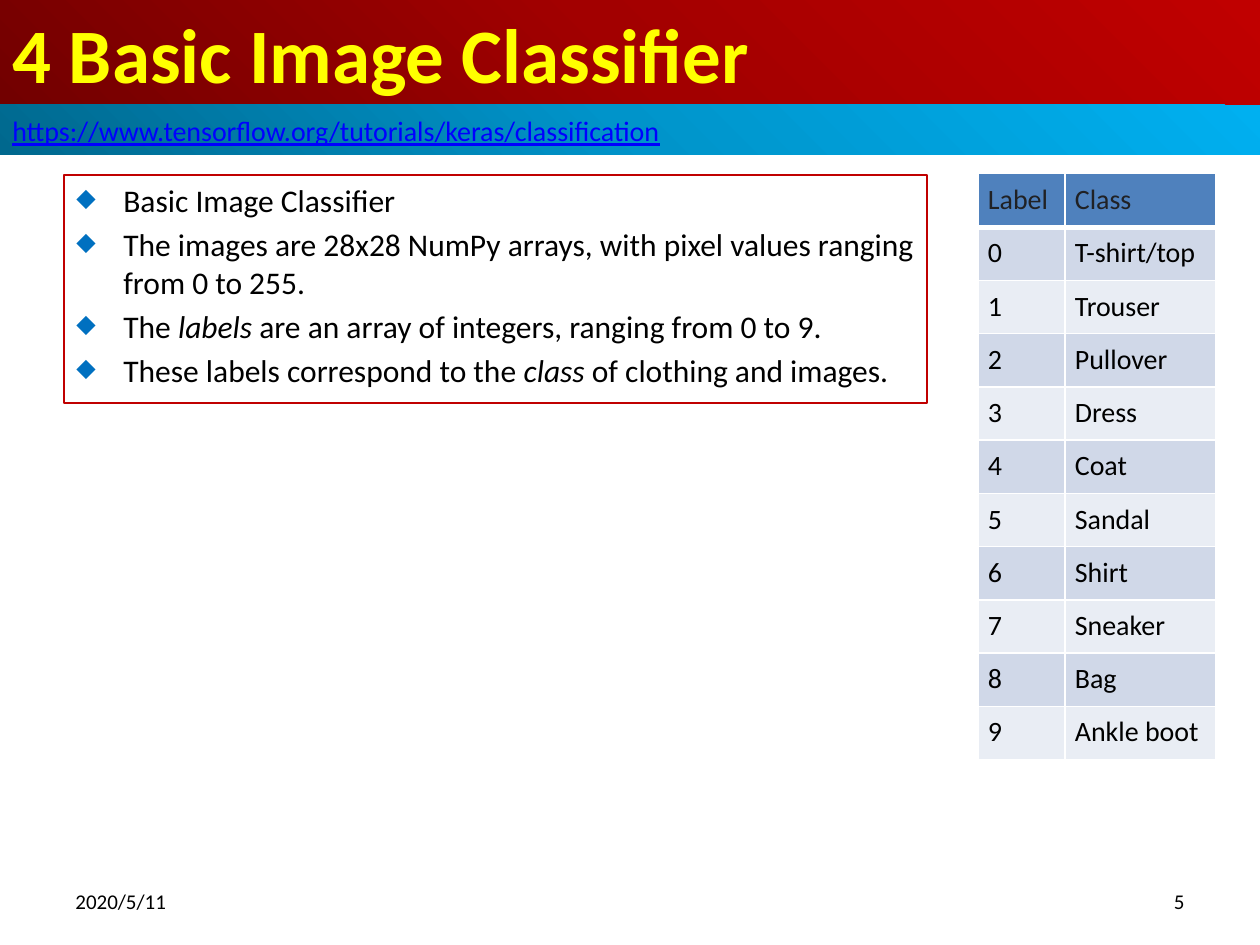
from pptx import Presentation
from pptx.dml.color import RGBColor
from pptx.enum.shapes import MSO_SHAPE
from pptx.enum.text import MSO_ANCHOR, MSO_AUTO_SIZE, PP_ALIGN
from pptx.oxml import parse_xml
from pptx.oxml.ns import nsdecls, qn
from pptx.util import Pt

SCALE = 914400 / 126  # EMU per px
RECT = MSO_SHAPE.RECTANGLE
TOP, MIDDLE = MSO_ANCHOR.TOP, MSO_ANCHOR.MIDDLE
LEFT, RIGHT = PP_ALIGN.LEFT, PP_ALIGN.RIGHT
NO_FIT = MSO_AUTO_SIZE.NONE

BLACK = RGBColor(0x00, 0x00, 0x00)
WHITE = RGBColor(0xFF, 0xFF, 0xFF)
YELLOW = RGBColor(0xFF, 0xFF, 0x00)
LINK = RGBColor(0x00, 0x00, 0xFF)
RED = RGBColor(0xC0, 0x00, 0x00)
BULLET = RGBColor(0x00, 0x70, 0xC0)
INK = RGBColor(0x20, 0x21, 0x24)
HEAD = RGBColor(0x4F, 0x81, 0xBD)
BANDS = RGBColor(0xD0, 0xD8, 0xE8), RGBColor(0xE9, 0xED, 0xF4)
REDS = RGBColor(0x72, 0x00, 0x00), RGBColor(0xA2, 0x00, 0x00), RED
BLUES = (RGBColor(0x00, 0x68, 0x8E), RGBColor(0x00, 0x94, 0xCA),
         RGBColor(0x00, 0xB0, 0xF0))

POINTS = [
    [("Basic Image Classifier", False)],
    [("The images are 28x28 NumPy arrays, with pixel values ranging "
      "from 0 to 255.", False)],
    [("The ", False), ("labels", True),
     (" are an array of integers, ranging from 0 to 9.", False)],
    [("These labels correspond to the ", False), ("class", True),
     (" of clothing and images.", False)],
]
CLASSES = ["T-shirt/top", "Trouser", "Pullover", "Dress", "Coat", "Sandal",
           "Shirt", "Sneaker", "Bag", "Ankle boot"]


def emu(px):
    return round(px * SCALE)


class Deck:
    font = "Calibri"

    def __init__(self, wide, high):
        self.prs = Presentation()
        self.prs.slide_width, self.prs.slide_height = emu(wide), emu(high)
        self.slide = self.prs.slides.add_slide(self.prs.slide_layouts[5])

    def run(self, para, text, size, color, bold=False, italic=False,
            line=False):
        run = para.add_run()
        run.text = text
        font = run.font
        font.name, font.size, font.color.rgb = self.font, Pt(size), color
        font.bold, font.italic, font.underline = bold, italic, line

    def frame(self, shape, anchor, align=LEFT):
        frame = shape.text_frame
        frame.word_wrap, frame.auto_size = True, NO_FIT
        frame.vertical_anchor = anchor
        frame.paragraphs[0].alignment = align
        return frame

    def shade(self, shape, colors):
        """Fill with a round gradient that starts at the lower left."""
        shape.fill.gradient()
        old = shape._element.spPr.find(qn("a:gradFill"))
        stops = "".join(
            f'<a:gs pos="{i * 50000}"><a:srgbClr val="{color}"/></a:gs>'
            for i, color in enumerate(colors))
        old.getparent().replace(old, parse_xml(
            f'<a:gradFill {nsdecls("a")} rotWithShape="1">'
            f'<a:gsLst>{stops}</a:gsLst><a:path path="circle">'
            '<a:fillToRect t="100000" r="100000"/></a:path></a:gradFill>'))

    def title(self, box, text, colors):
        shape = self.slide.shapes.title
        shape.left, shape.top, shape.width, shape.height = map(emu, box)
        self.shade(shape, colors)
        para = self.frame(shape, MIDDLE).paragraphs[0]
        self.run(para, text, 44, YELLOW, bold=True)

    def rect(self, box):
        shape = self.slide.shapes.add_shape(RECT, *map(emu, box))
        shape.shadow.inherit = False
        return shape

    def band(self, box, text, colors):
        shape = self.rect(box)
        self.shade(shape, colors)
        shape.line.fill.background()
        para = self.frame(shape, MIDDLE).paragraphs[0]
        self.run(para, text, 16, LINK, line=True)

    def bullets(self, box, points):
        shape = self.rect(box)
        shape.fill.background()
        shape.line.color.rgb, shape.line.width = RED, Pt(0.75)
        frame = self.frame(shape, TOP)
        for i, parts in enumerate(points):
            para = frame.add_paragraph() if i else frame.paragraphs[0]
            para.alignment, para.space_before = LEFT, Pt(3.6)
            props = para._p.get_or_add_pPr()
            props.set("marL", str(emu(47)))
            props.set("indent", str(-emu(47)))
            for tag in (f'buClr {nsdecls("a")}><a:srgbClr val="{BULLET}"/>'
                        '</a:buClr', f'buSzPct {nsdecls("a")} val="80000"/',
                        f'buChar {nsdecls("a")} char="◆"/'):
                props.append(parse_xml(f"<a:{tag}>"))
            for text, italic in parts:
                self.run(para, text, 18, BLACK, italic=italic)

    def note(self, box, text, align):
        shape = self.slide.shapes.add_textbox(*map(emu, box))
        para = self.frame(shape, MIDDLE, align).paragraphs[0]
        self.run(para, text, 12, BLACK)

    def border(self, cell, widths):
        props = cell._tc.get_or_add_tcPr()
        for i, (side, width) in enumerate(zip("LRTB", widths)):
            props.insert(i, parse_xml(
                f'<a:ln{side} {nsdecls("a")} w="{Pt(width)}"><a:solidFill>'
                f'<a:srgbClr val="{WHITE}"/></a:solidFill></a:ln{side}>'))

    def table(self, left, top, cols, high, rows):
        shape = self.slide.shapes.add_table(
            len(rows), len(cols), *map(emu, (left, top, sum(cols),
                                             high * len(rows))))
        table = shape.table
        for col, wide in zip(table.columns, cols):
            col.width = emu(wide)
        for r, row in enumerate(rows):
            for c, text in enumerate(row):
                cell = table.cell(r, c)
                cell.fill.solid()
                cell.fill.fore_color.rgb = BANDS[(r - 1) % 2] if r else HEAD
                cell.vertical_anchor = TOP if r else MIDDLE
                cell.margin_left = cell.margin_right = emu(10)
                cell.margin_top = emu(9 if r else 10)
                cell.margin_bottom = emu(10)
                self.border(cell, (1, 1, 3 if r == 1 else 1, 1 if r else 3))
                self.run(cell.text_frame.paragraphs[0], text, 16,
                         BLACK if r else INK)


def main():
    deck = Deck(1260, 945)

    # Heading and source link
    deck.title((0, 0, 1260, 105), "4 Basic Image Classifier", REDS)
    deck.bullets((64, 175, 863, 228), POINTS)
    deck.band((0, 105, 1260, 50),
              "https://www.tensorflow.org/tutorials/keras/classification",
              BLUES)

    # Footer
    deck.note((63, 876, 294, 50), "2020/5/11", LEFT)
    deck.note((903, 876, 294, 50), "5", RIGHT)

    # Labels and classes
    rows = [("Label", "Class")]
    rows += [(str(i), name) for i, name in enumerate(CLASSES)]
    deck.table(978, 173, (87, 151), 53, rows)

    deck.prs.save("out.pptx")


if __name__ == "__main__":
    main()
